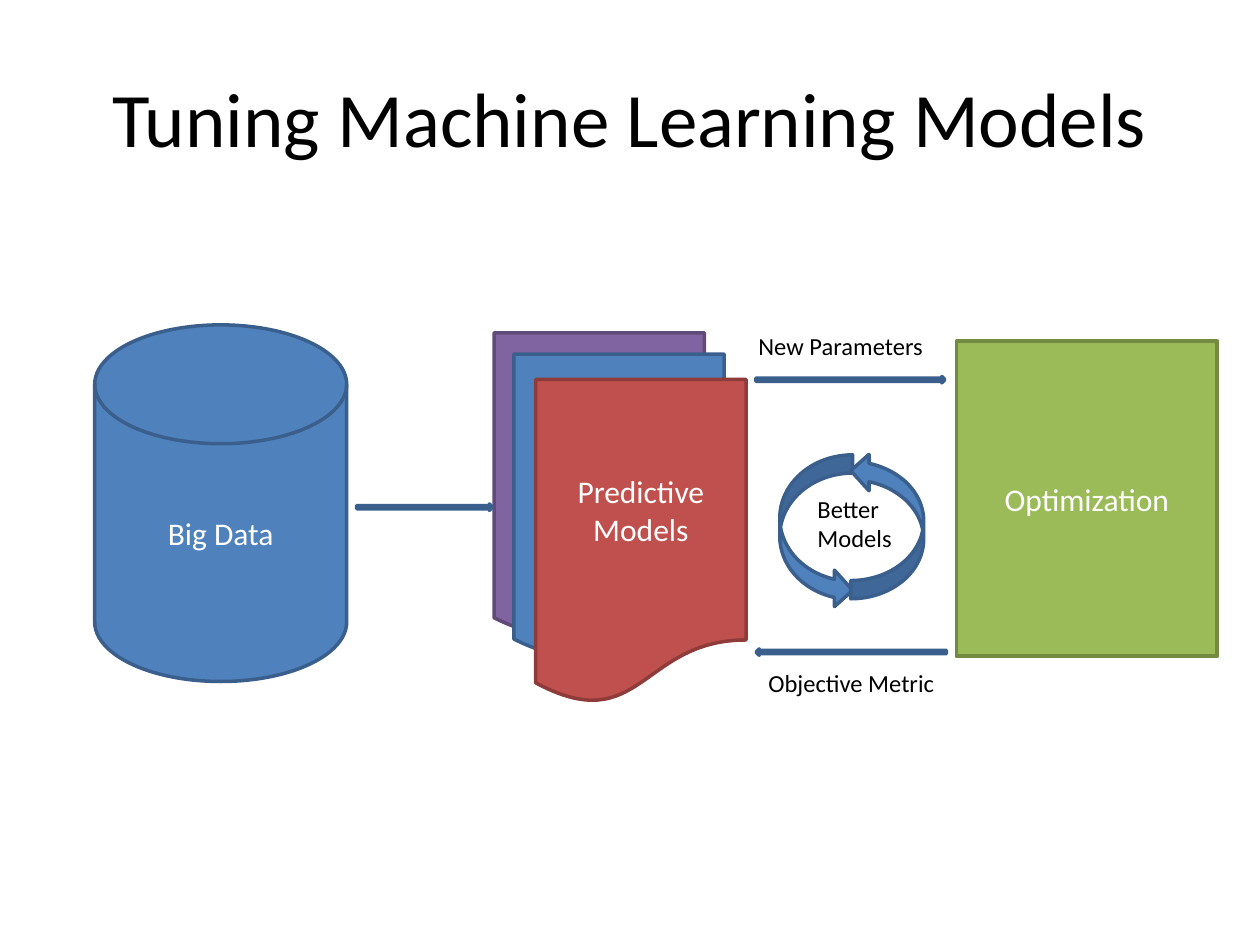
from pptx import Presentation
from pptx import util as u
from pptx.dml.color import RGBColor
from pptx.enum import shapes, text

KIND = shapes.MSO_SHAPE
BLUE = ("4F81BD", "3A5F8C")
RED = ("C0504D", "8E3B39")
GREEN = ("9BBB59", "738A42")
PURPLE = ("8064A2", "5F4A78")


def paint(part, color):
    part.solid()
    part.fore_color.rgb = RGBColor.from_string(color)


def write(frame, words, size=18, color="FFFFFF", center=True, middle=True):
    frame.word_wrap = True
    frame.vertical_anchor = text.MSO_ANCHOR.MIDDLE if middle else text.MSO_ANCHOR.TOP
    para = frame.paragraphs[0]
    para.alignment = text.PP_ALIGN.CENTER if center else text.PP_ALIGN.LEFT
    run = para.add_run()
    run.text = words
    run.font.name = "Calibri"
    run.font.size = u.Pt(size)
    paint(run.font.fill, color)


def draw(slide, kind, box, tone=BLUE, words="", turn=0):
    shape = slide.shapes.add_shape(kind, *map(u.Cm, box))
    shape.shadow.inherit = False
    shape.rotation = turn
    fill, edge = tone
    paint(shape.fill, fill)
    paint(shape.line.fill, edge)
    shape.line.width = u.Pt(2)
    if words:
        write(shape.text_frame, words)


def label(slide, words, box, **style):
    frame = slide.shapes.add_textbox(*map(u.Cm, box)).text_frame
    write(frame, words, color="000000", **style)


def main():
    deck = Presentation()
    deck.slide_width, deck.slide_height = u.Cm(25.4), u.Cm(19.05)
    slide = deck.slides.add_slide(deck.slide_layouts[6])

    label(slide, "Tuning Machine Learning Models", (1.27, 0.76, 22.86, 3.18), size=44)
    draw(slide, KIND.FLOWCHART_MAGNETIC_DISK, (1.91, 6.55, 5.08, 7.19), words="Big Data")

    models = [
        (9.96, 6.71, 6.15, PURPLE, ""),
        (10.36, 7.14, 6.15, BLUE, ""),
        (10.8, 7.65, 6.55, RED, "Predictive Models"),
    ]
    for left, top, high, tone, words in models:
        draw(slide, KIND.FLOWCHART_DOCUMENT, (left, top, 4.24, high), tone, words)

    draw(slide, KIND.RECTANGLE, (19.28, 6.88, 5.26, 6.35), GREEN, "Optimization")

    flows = [(7.19, 10.16, 2.74, 0), (15.24, 7.59, 3.81, 0), (15.24, 13.08, 3.84, 180)]
    for left, top, wide, turn in flows:
        draw(slide, KIND.RIGHT_ARROW, (left, top, wide, 0.13), turn=turn)

    notes = [
        ("New Parameters", (15.04, 6.55, 4.65, 0.86)),
        ("Objective Metric", (15.24, 13.34, 4.65, 0.86)),
        ("Better Models", (16.23, 9.83, 2.74, 1.45)),
    ]
    for words, box in notes:
        label(slide, words, box, size=14, center=False, middle=False)

    for left, top, high, turn in [(15.72, 9.17, 3.1, 0), (17.15, 9.12, 2.95, 180)]:
        draw(slide, KIND.CURVED_RIGHT_ARROW, (left, top, 1.47, high), turn=turn)

    deck.save("out.pptx")


if __name__ == "__main__":
    main()
